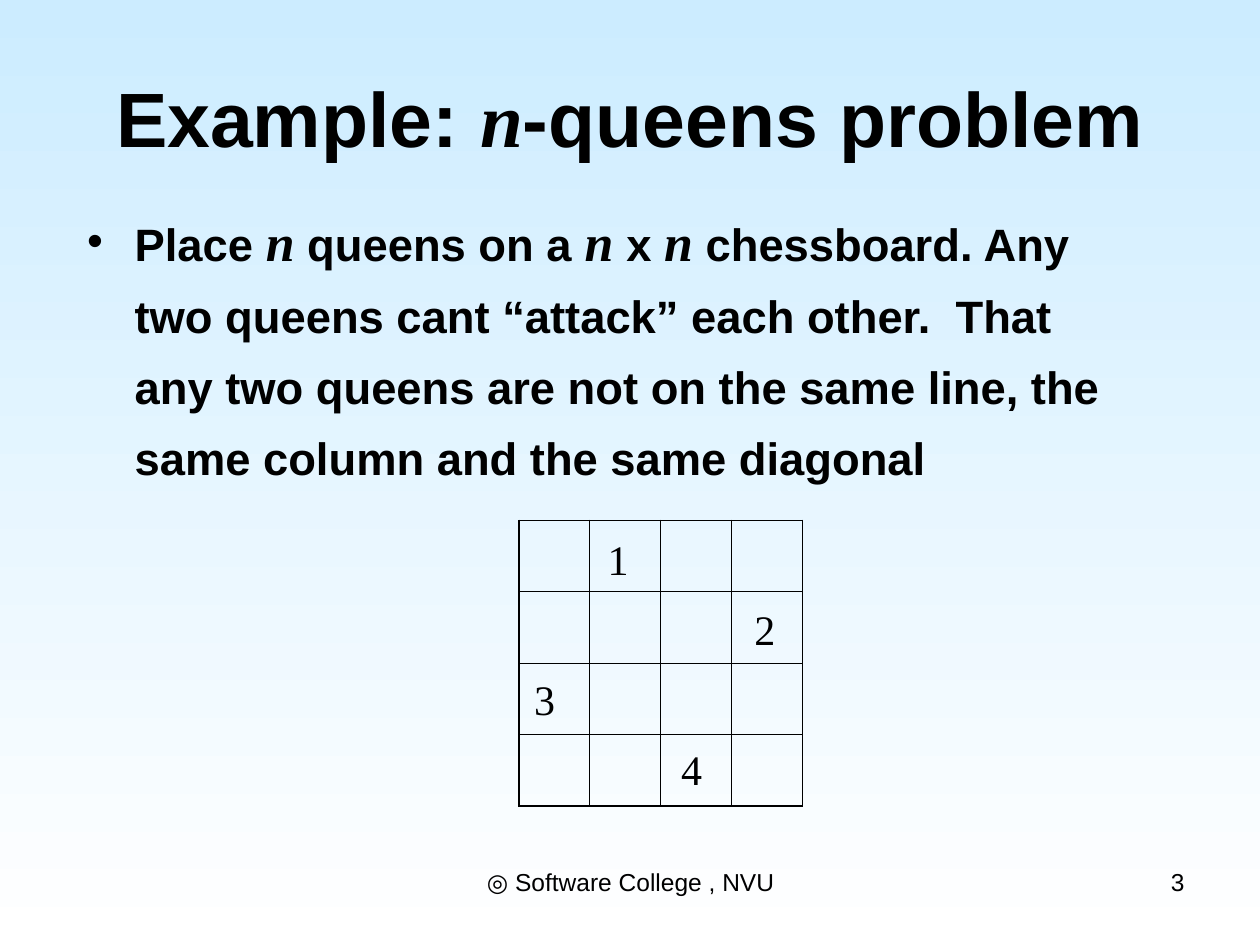
from dataclasses import dataclass

from lxml import etree
from pptx import Presentation
from pptx import util as u
from pptx.dml.color import RGBColor
from pptx.enum import text
from pptx.oxml import ns


@dataclass(frozen=True)
class Theme:
    ink: str = "000000"
    sky: str = "CCECFF"
    white: str = "FFFFFF"
    sans: str = "Arial"
    serif: str = "Times New Roman"
    title: float = 44
    body: float = 25.9
    variable: float = 29.6
    queen: float = 24
    footer: float = 14
    outer_line: float = 1.08
    inner_line: float = 0.45


theme = Theme()


def add_run(paragraph, wording, **formats):
    run = paragraph.add_run()
    run.text = wording
    run.font.color.rgb = RGBColor.from_string(theme.ink)
    for name, value in formats.items():
        setattr(run.font, name, value)


def set_border(cell, order, side, width):
    """Draw one cell side; order keeps the lines ahead of the cell fill."""
    line = etree.Element(ns.qn(f"a:ln{side}"), w=str(u.Pt(width)))
    fill = etree.SubElement(line, ns.qn("a:solidFill"))
    etree.SubElement(fill, ns.qn("a:srgbClr"), val=theme.ink)
    cell._tc.get_or_add_tcPr().insert(order, line)


prs = Presentation()
prs.slide_width, prs.slide_height = u.Cm(25.4), u.Cm(19.05)
slide = prs.slides.add_slide(prs.slide_layouts[1])

backdrop = slide.background.fill
backdrop.gradient()
backdrop.gradient_angle = 270
for stop, color, position in zip(backdrop.gradient_stops, (theme.sky, theme.white), (0, 1)):
    stop.color.rgb = RGBColor.from_string(color)
    stop.position = position

# Title and statement; the variable n is set in serif italics
title, statement = slide.placeholders
placements = [
    (title, (1.27, 0.76, 22.86, 3.18)),
    (statement, (1.5, 3.73, 21.59, 6.99)),
]
for holder, place in placements:
    holder.left, holder.top, holder.width, holder.height = map(u.Cm, place)
    holder.text_frame.auto_size = text.MSO_AUTO_SIZE.NONE

heading = title.text_frame.paragraphs[0]
heading.alignment = text.PP_ALIGN.CENTER
title.text_frame.vertical_anchor = text.MSO_ANCHOR.MIDDLE

rule = statement.text_frame.paragraphs[0]
rule.line_spacing = 1.3
rule.space_before = u.Pt(7)
indent = u.Cm(0.96)
rule._p.get_or_add_pPr().set("marL", str(indent))
rule._p.get_or_add_pPr().set("indent", str(-indent))

sentences = [
    (heading, theme.title, theme.title, ["Example: ", "n", "-queens problem"]),
    (rule, theme.body, theme.variable, [
        "Place ", "n", " queens on a ", "n ", "x ", "n",
        " chessboard. Any two queens cant “attack” each other.  That any two queens "
        "are not on the same line, the same column and the same diagonal",
    ]),
]
for paragraph, plain_size, variable_size, parts in sentences:
    for part in parts:
        variable = part.strip() == "n"
        add_run(
            paragraph, part, bold=True, italic=variable,
            name=theme.serif if variable else theme.sans,
            size=u.Pt(variable_size if variable else plain_size),
        )

# Chessboard with a heavier outline
n = 4
board = slide.shapes.add_table(n, n, u.Cm(10.46), u.Cm(10.49), u.Cm(5.72), u.Cm(5.76)).table
board.first_row = board.horz_banding = False
for row in board.rows:
    row.height = u.Cm(1.44)
for column in board.columns:
    column.width = u.Cm(1.43)
for row in range(n):
    for column in range(n):
        cell = board.cell(row, column)
        cell.fill.background()
        on_edge = {"L": column == 0, "R": column == n - 1, "T": row == 0, "B": row == n - 1}
        for order, (side, outer) in enumerate(on_edge.items()):
            set_border(cell, order, side, theme.outer_line if outer else theme.inner_line)

# Queens, one per row, by column
for row, column in enumerate((1, 3, 0, 2)):
    queen = slide.shapes.add_textbox(
        u.Cm(10.52 + 1.48 * column), u.Cm(10.64 + 1.41 * row), u.Cm(0.91), u.Cm(1.27)
    ).text_frame
    queen.word_wrap = False
    queen.auto_size = text.MSO_AUTO_SIZE.SHAPE_TO_FIT_TEXT
    add_run(queen.paragraphs[0], str(row + 1), name=theme.serif, size=u.Pt(theme.queen))

# Footer and page number
footers = [
    ("◎ Software College , NVU", 8.69, 8.05, text.PP_ALIGN.CENTER),
    ("3", 18.21, 5.92, text.PP_ALIGN.RIGHT),
]
for wording, left, width, alignment in footers:
    footer = slide.shapes.add_textbox(u.Cm(left), u.Cm(17.35), u.Cm(width), u.Cm(1.32)).text_frame
    footer.word_wrap = True
    footer.paragraphs[0].alignment = alignment
    add_run(footer.paragraphs[0], wording, name=theme.sans, size=u.Pt(theme.footer))

prs.save("out.pptx")
